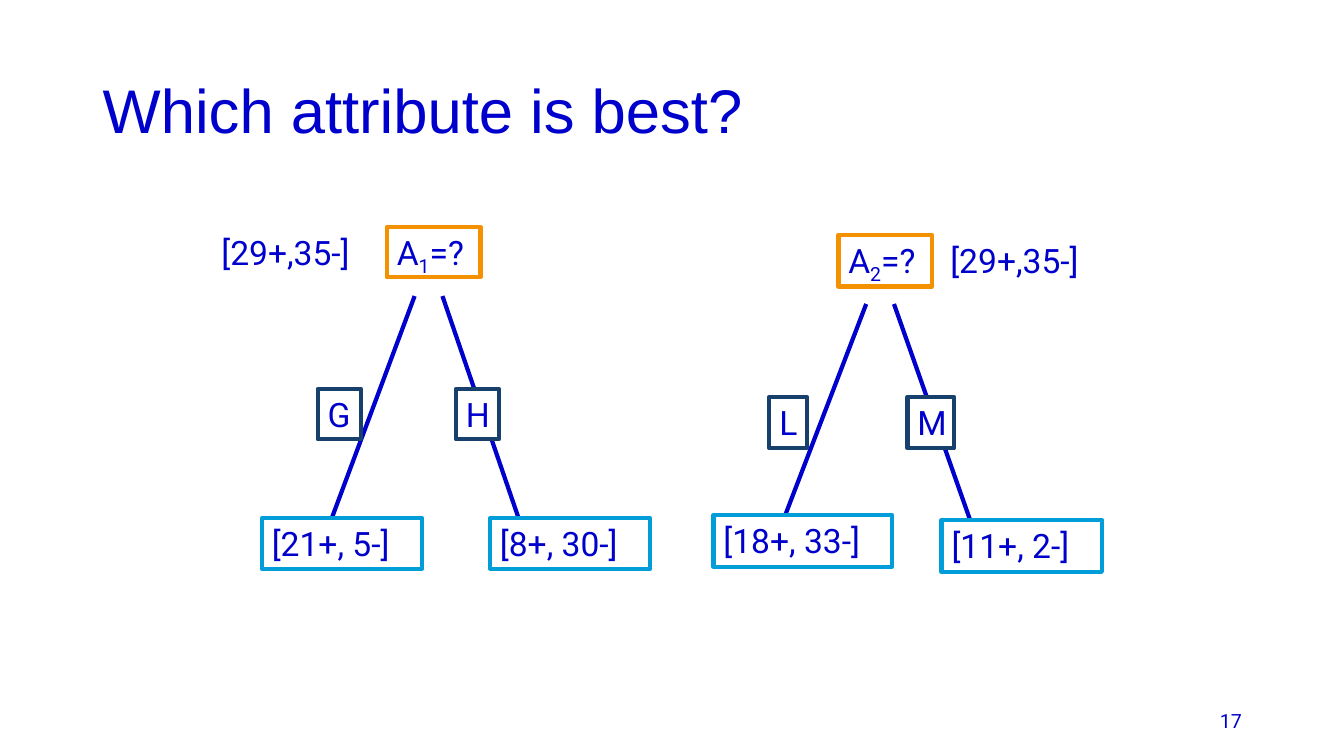
from pptx import Presentation
from pptx.dml.color import RGBColor
from pptx.enum.shapes import MSO_CONNECTOR as Link, MSO_SHAPE as Kind
from pptx.enum.text import MSO_ANCHOR as Anchor, PP_ALIGN as Align
from pptx.oxml.ns import qn
from pptx.util import Cm, Pt
from lxml.etree import SubElement

INK = "0000CC"
WHITE = "FFFFFF"
ROOT, EDGE, LEAF = "F49100", "17406D", "009DD9"


def color(code):
    return RGBColor.from_string(code)


def style(font, size, name="Roboto"):
    font.size = Pt(size)
    font.name = name
    font.color.rgb = color(INK)


def write(shape, parts, size=24, name="Roboto", anchor=Anchor.TOP,
          align=Align.LEFT):
    """Fill one paragraph with parts; every second part is a subscript."""
    frame = shape.text_frame
    frame.word_wrap = True
    frame.vertical_anchor = anchor
    para = frame.paragraphs[0]
    para.alignment = align
    for i, part in enumerate(parts):
        run = para.add_run()
        run.text = part
        style(run.font, size, name)
        if i % 2:
            run.font._element.set("baseline", "-25000")
    return para


def label(shapes, x, y, w, h, text, **look):
    box = shapes.add_textbox(Cm(x), Cm(y), Cm(w), Cm(h))
    return write(box, [text], **look)


def node(shapes, x, y, w, h, line, *parts):
    box = shapes.add_shape(Kind.RECTANGLE, Cm(x), Cm(y), Cm(w), Cm(h))
    box.shadow.inherit = False
    box.fill.solid()
    box.fill.fore_color.rgb = color(WHITE)
    box.line.color.rgb = color(line)
    box.line.width = Pt(3)
    box.text_frame.margin_right = 0
    write(box, parts)


def branch(shapes, x1, y1, x2, y2):
    line = shapes.add_connector(Link.STRAIGHT, Cm(x1), Cm(y1), Cm(x2), Cm(y2))
    line.line.color.rgb = color(INK)
    line.line.width = Pt(3)
    SubElement(line._element.spPr, qn("a:effectLst"))


def tree(slide, x, y, h, index, foot, count, edges, leaves):
    """Draw a split whose root box has its corner at x, y.

    foot is where the branches end, count the left edge of the root's count;
    edges hold (text, width), leaves hold (text, top, width).
    """
    shapes = slide.shapes.add_group_shape().shapes
    for start, end in ((0.7, -1.39), (1.4, 3.32)):
        branch(shapes, x + start, y + 1.74, x + end, foot)
    node(shapes, x, y, 2.36, h, ROOT, "A", index, "=?")
    for dx, (text, w) in zip((-1.74, 1.74), edges):
        node(shapes, x + dx, y + 4.08, w, h, EDGE, text)
    for dx, (text, top, w) in zip((-3.15, 2.6), leaves):
        node(shapes, x + dx, top, w, h, LEAF, text)
    label(shapes, count, y, 4.2, h, "[29+,35-]")


def main():
    deck = Presentation()
    deck.slide_width, deck.slide_height = Cm(33.87), Cm(19.05)
    slide = deck.slides.add_slide(deck.slide_layouts[6])
    label(slide.shapes, 23.93, 17.65, 7.62, 1.02, "17", size=14,
          anchor=Anchor.MIDDLE, align=Align.RIGHT)
    tree(slide, 9.75, 5.72, 1.27, "1", 13.06, 5.33,
         [("G", 1.09), ("H", 1.09)],
         [("[21+, 5-]", 13.06, 4.04), ("[8+, 30-]", 13.06, 4.04)])
    tree(slide, 21.13, 5.92, 1.3, "2", 13.11, 23.7,
         [("L", 0.94), ("M", 1.17)],
         [("[18+, 33-]", 12.98, 4.5), ("[11+, 2-]", 13.11, 4.04)])
    title = label(slide.shapes, 2.34, 1.02, 29.21, 3.68,
                  "Which attribute is best?", size=44, name="Arial",
                  anchor=Anchor.MIDDLE)
    title.line_spacing = 0.9
    deck.save("out.pptx")


if __name__ == "__main__":
    main()
